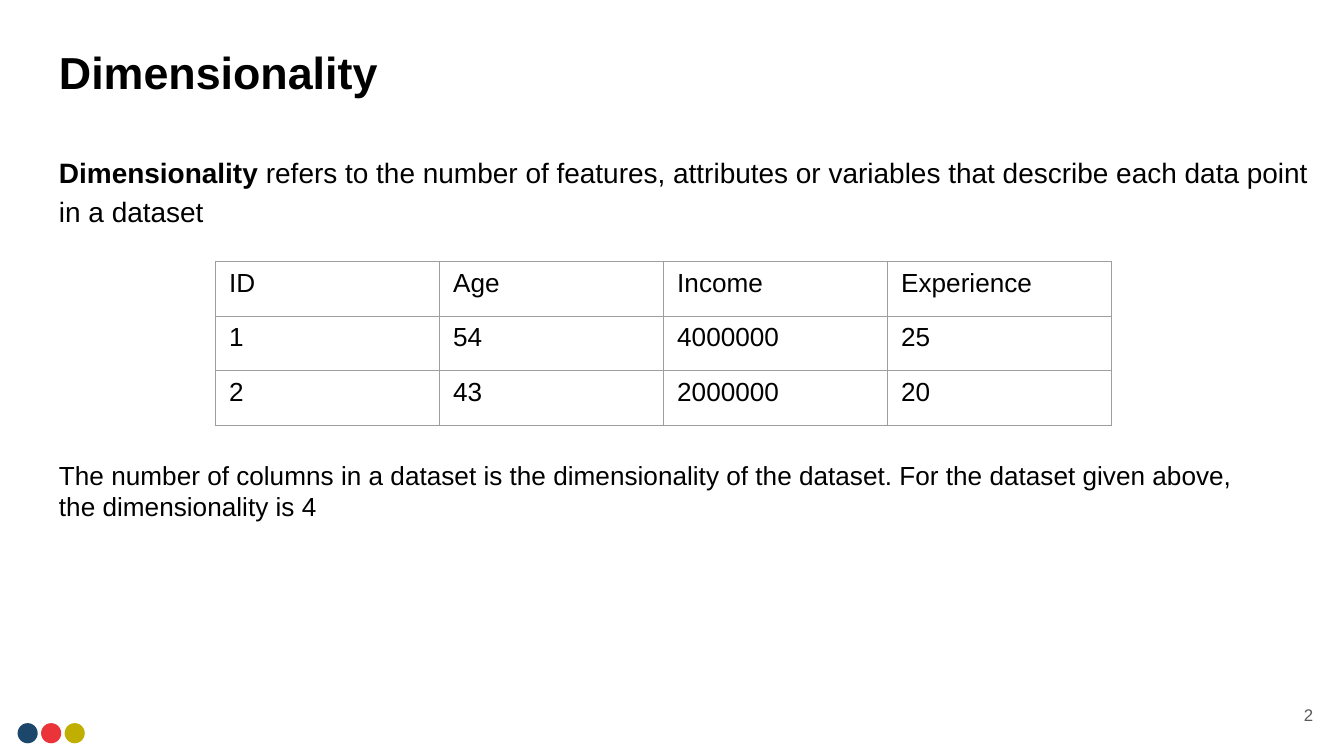
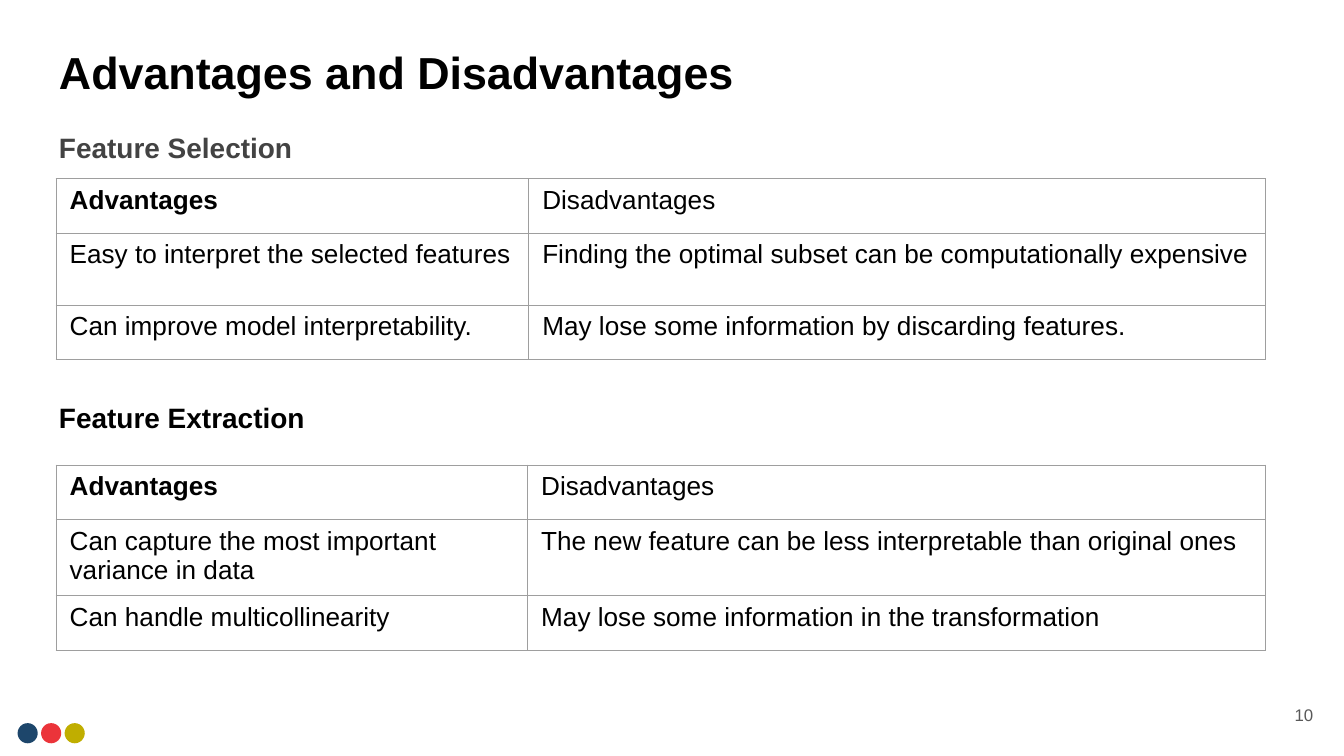
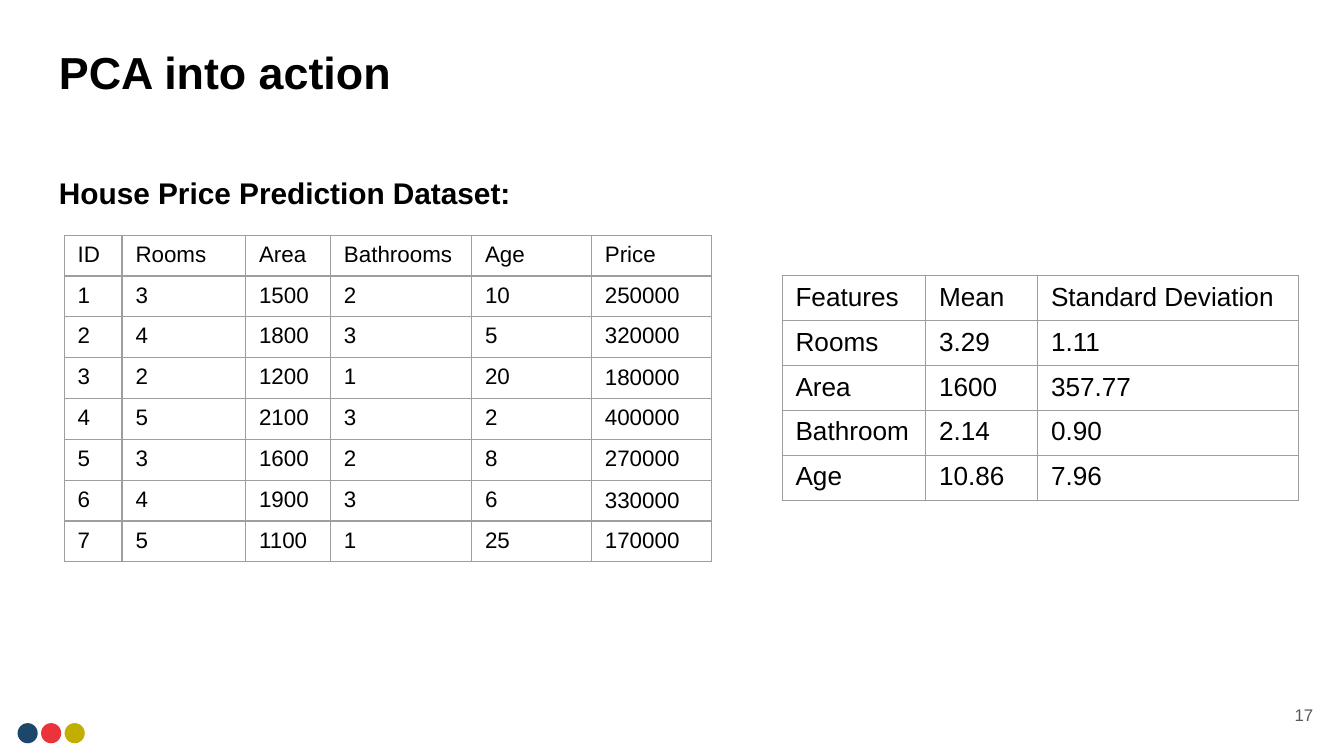
import dataclasses

import lxml.etree
import pptx
import pptx.dml.color
import pptx.enum.shapes
import pptx.enum.text
import pptx.oxml.ns
import pptx.util

Pt = pptx.util.Pt
qn = pptx.oxml.ns.qn
ANCHOR = pptx.enum.text.MSO_ANCHOR
ALIGN = pptx.enum.text.PP_ALIGN


@dataclasses.dataclass(frozen=True)
class Theme:
    font: str = "Arial"
    ink: str = "000000"
    muted: str = "434343"
    number: str = "595959"
    grid: str = "9E9E9E"
    dots: tuple = ("1D466B", "EB343A", "C0AE00")
    title_size: float = 24
    heading_size: float = 16
    body_size: float = 15
    table_size: float = 14
    small_table_size: float = 12
    number_size: float = 9
    grid_width: float = 0.75
    side_inset: float = 7.2
    cell_inset: float = 3.6


THEME = Theme()
SLIDE_SIZE = (720, 405)
TITLE_BOX = (24.5, 16.6, 671, 43.9)
NUMBER_BOX = (667.4, 367.2, 43.2, 31)
DOTS_BOX = (9.4, 387.4, 36, 10.8)


def rgb(value):
    return pptx.dml.color.RGBColor.from_string(value)


def apply(target, values):
    for name, value in values.items():
        setattr(target, name, value)


def add_run(paragraph, text, size, color=THEME.ink, bold=False):
    run = paragraph.add_run()
    run.text = text
    apply(run.font, {"name": THEME.font, "size": Pt(size), "bold": bold})
    run.font.color.rgb = rgb(color)


def add_text(slide, box, paragraphs, inset=THEME.side_inset, anchor=ANCHOR.TOP):
    """Each paragraph is a pair: its format values and a list of add_run arguments."""
    frame = slide.shapes.add_textbox(*map(Pt, box)).text_frame
    apply(frame, {
        "word_wrap": True, "vertical_anchor": anchor,
        "margin_left": Pt(THEME.side_inset), "margin_right": Pt(THEME.side_inset),
        "margin_top": Pt(inset), "margin_bottom": Pt(inset),
    })
    for index, (values, runs) in enumerate(paragraphs):
        paragraph = frame.add_paragraph() if index else frame.paragraphs[0]
        apply(paragraph, values)
        for run in runs:
            add_run(paragraph, *run)


def add_dots(slide, box):
    left, top, width, size = box
    step = (width - size) / (len(THEME.dots) - 1)
    group = slide.shapes.add_group_shape()
    for index, color in enumerate(THEME.dots):
        dot = group.shapes.add_shape(
            pptx.enum.shapes.MSO_SHAPE.OVAL,
            Pt(left + index * step), Pt(top), Pt(size), Pt(size))
        dot.shadow.inherit = False
        dot.fill.solid()
        dot.fill.fore_color.rgb = rgb(color)
        dot.line.fill.background()


def add_cell_borders(cell):
    properties = cell._tc.get_or_add_tcPr()
    for side in ("a:lnL", "a:lnR", "a:lnT", "a:lnB"):
        line = lxml.etree.SubElement(properties, qn(side), w=str(Pt(THEME.grid_width)))
        fill = lxml.etree.SubElement(line, qn("a:solidFill"))
        lxml.etree.SubElement(fill, qn("a:srgbClr"), val=THEME.grid)


def add_table(slide, origin, widths, heights, rows, size=THEME.table_size,
              bold_cells=(), centred_cells=()):
    """bold_cells and centred_cells hold (row, column) pairs."""
    box = (*origin, sum(widths), sum(heights))
    table = slide.shapes.add_table(len(rows), len(widths), *map(Pt, box)).table
    apply(table, {"first_row": False, "horz_banding": False})
    for column, width in zip(table.columns, widths):
        column.width = Pt(width)
    for row_index, (row, height) in enumerate(zip(rows, heights)):
        table.rows[row_index].height = Pt(height)
        for column_index, text in enumerate(row):
            position = (row_index, column_index)
            cell = table.cell(*position)
            add_cell_borders(cell)
            cell.fill.background()
            apply(cell, {
                "margin_left": Pt(THEME.side_inset), "margin_right": Pt(THEME.side_inset),
                "margin_top": Pt(THEME.cell_inset), "margin_bottom": Pt(THEME.cell_inset),
                "vertical_anchor": ANCHOR.MIDDLE if position in centred_cells else ANCHOR.TOP,
            })
            add_run(cell.text_frame.paragraphs[0], text, size, bold=position in bold_cells)


def add_base_slide(presentation, title, number):
    slide = presentation.slides.add_slide(presentation.slide_layouts[6])
    add_dots(slide, DOTS_BOX)
    add_text(slide, TITLE_BOX, [({}, [(title, THEME.title_size, THEME.ink, True)])],
             anchor=ANCHOR.MIDDLE)
    add_text(slide, NUMBER_BOX, [
        ({"alignment": ALIGN.RIGHT}, [(str(number), THEME.number_size, THEME.number)]),
    ], anchor=ANCHOR.MIDDLE)
    return slide


def add_dimensionality_slide(presentation):
    slide = add_base_slide(presentation, "Dimensionality", 2)
    add_text(slide, (24.5, 73.4, 685.4, 146.2), [({"line_spacing": 1.15}, [
        ("Dimensionality", THEME.body_size, THEME.ink, True),
        (" refers to the number of features, attributes or variables that describe "
         "each data point in a dataset", THEME.body_size),
    ])])
    add_table(slide, (115.6, 140.2), [120] * 4, [29.2] * 3, [
        ("ID", "Age", "Income", "Experience"),
        ("1", "54", "4000000", "25"),
        ("2", "43", "2000000", "20"),
    ])
    add_text(slide, (24.5, 242.6, 654.5, 41), [({}, [
        ("The number of columns in a dataset is the dimensionality of the dataset. "
         "For the dataset given above, the dimensionality is 4", THEME.table_size),
    ])], inset=THEME.cell_inset)


def add_comparison_slide(presentation):
    slide = add_base_slide(presentation, "Advantages and Disadvantages", 10)
    add_text(slide, (24.5, 59.8, 685.4, 328.3), [
        ({"line_spacing": 1.15},
         [("Feature Selection", THEME.body_size, THEME.muted, True)]),
        ({"line_spacing": 1.15, "space_before": Pt(124)},
         [("Feature Extraction", THEME.body_size, THEME.ink, True)]),
    ])
    comparisons = [
        (95.8, (253.2, 394.8), [
            ("Easy to interpret the selected features",
             "Finding the optimal subset can be computationally expensive"),
            ("Can improve model interpretability.",
             "May lose some information by discarding features."),
        ]),
        (249.2, (252.6, 395.4), [
            ("Can capture the most important variance in data",
             "The new feature can be less interpretable than original ones"),
            ("Can handle multicollinearity",
             "May lose some information in the transformation"),
        ]),
    ]
    for top, widths, rows in comparisons:
        add_table(slide, (30.1, top), widths, (29.2, 38.6, 29.2),
                  [("Advantages", "Disadvantages"), *rows], bold_cells={(0, 0)})


def add_dataset_slide(presentation):
    slide = add_base_slide(presentation, "PCA into action", 17)
    add_text(slide, (24.5, 83.5, 671, 276.5), [({"line_spacing": 1.15}, [
        ("House Price Prediction Dataset:", THEME.heading_size, THEME.ink, True),
    ])])
    add_table(slide, (34.4, 126.2), (31, 66.2, 45.5, 75.6, 64.2, 64.2),
              [20.5] + [21.9] * 7, [
                  ("ID", "Rooms", "Area", "Bathrooms", "Age", "Price"),
                  ("1", "3", "1500", "2", "10", "250000"),
                  ("2", "4", "1800", "3", "5", "320000"),
                  ("3", "2", "1200", "1", "20", "180000"),
                  ("4", "5", "2100", "3", "2", "400000"),
                  ("5", "3", "1600", "2", "8", "270000"),
                  ("6", "4", "1900", "3", "6", "330000"),
                  ("7", "5", "1100", "1", "25", "170000"),
              ], size=THEME.small_table_size, centred_cells={(3, 5), (6, 5)})
    add_table(slide, (419, 147.8), (76.9, 60, 139.7), [23.9] * 5, [
        ("Features", "Mean", "Standard Deviation"),
        ("Rooms", "3.29", "1.11"),
        ("Area", "1600", "357.77"),
        ("Bathroom", "2.14", "0.90"),
        ("Age", "10.86", "7.96"),
    ])


def main():
    presentation = pptx.Presentation()
    presentation.slide_width, presentation.slide_height = map(Pt, SLIDE_SIZE)
    add_dimensionality_slide(presentation)
    add_comparison_slide(presentation)
    add_dataset_slide(presentation)
    presentation.save("out.pptx")


if __name__ == "__main__":
    main()
